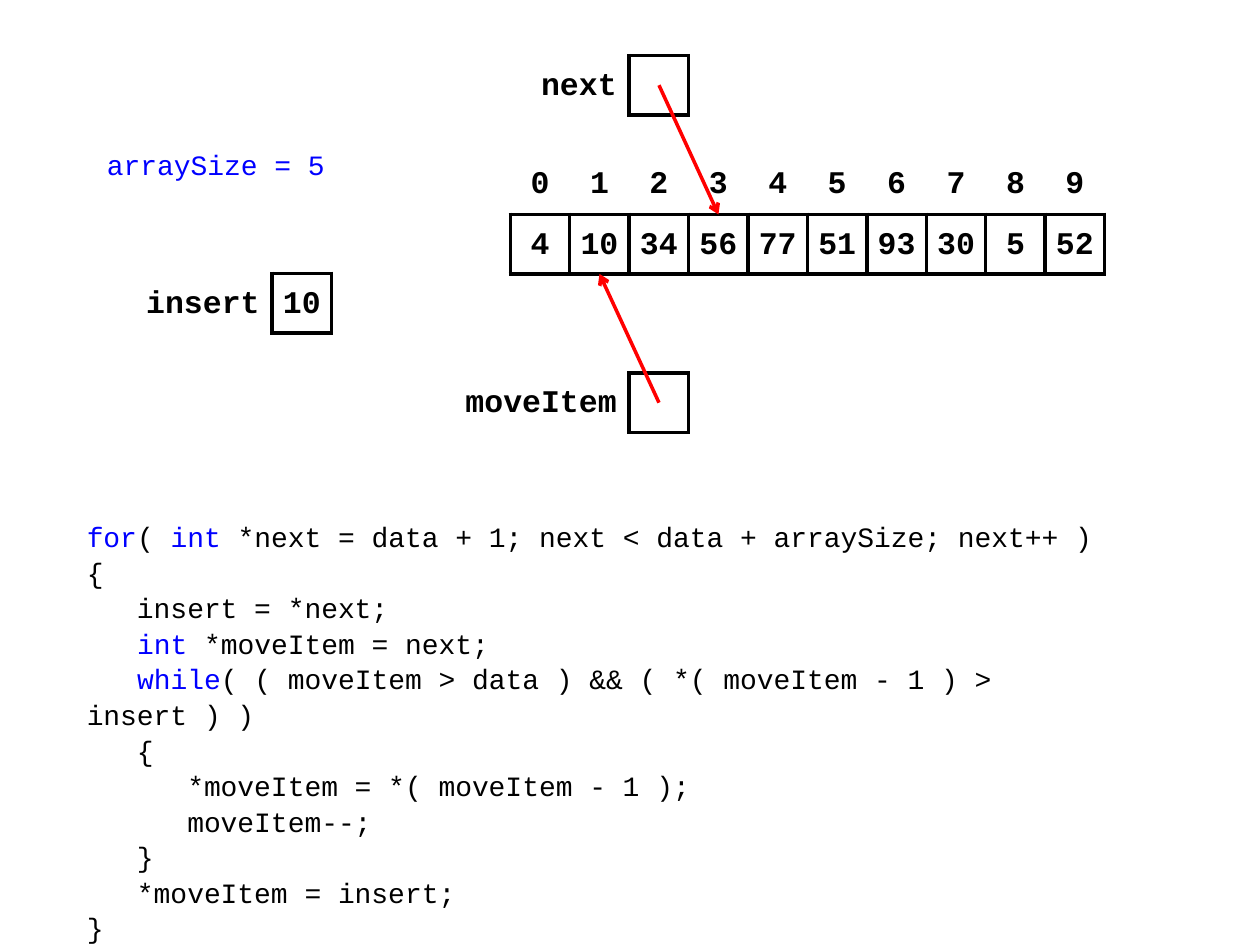
import pptx
import pptx.util
import pptx.dml.color
import pptx.enum.shapes
import pptx.enum.text
import pptx.oxml
import pptx.oxml.ns
from pptx.util import Inches

COLORS = {"text": "000000", "keyword": "0000FF", "arrow": "FF0000", "cell": "FFFFFF"}
FONT = "Courier New"
NO_STYLE = "{2D5ABB26-0587-4C30-8999-92F81FD0307C}"

# Content
ARRAY = [4, 10, 34, 56, 77, 51, 93, 30, 5, 52]
TITLE = [[("arraySize = 5", "keyword")]]
CODE = [
    [("for", "keyword"), ("( ", "text"), ("int", "keyword"),
     (" *next = data + 1; next < data + arraySize; next++ )", "text")],
    [("{", "text")],
    [("   insert = *next;", "text")],
    [("   ", "text"), ("int", "keyword"), (" *moveItem = next;", "text")],
    [("   ", "text"), ("while", "keyword"),
     ("( ( moveItem > data ) && ( *( moveItem - 1 ) > insert ) )", "text")],
    [("   {", "text")],
    [("      *moveItem = *( moveItem - 1 );", "text")],
    [("      moveItem--;", "text")],
    [("   }", "text")],
    [("   *moveItem = insert;", "text")],
    [("}", "text")],
]

# Layout in inches
CELL = 4.72 / len(ARRAY)
ARRAY_LEFT, ARRAY_TOP = 4.05, 1.23
POINTER_LEFT = ARRAY_LEFT + 2 * CELL
# label, value, box left, top, label width
VARIABLES = [
    ("next", "", POINTER_LEFT, 0.44, 2 * CELL),
    ("moveItem", "", POINTER_LEFT, 2.96, 3 * CELL),
    ("insert", "10", 2.16, 2.17, 1.1),
]
# pointer box top, array index, end height
ARROWS = [
    (0.44, 3, ARRAY_TOP + CELL),
    (2.96, 1, ARRAY_TOP + 2 * CELL),
]


def rgb(name):
    return pptx.dml.color.RGBColor.from_string(COLORS[name])


def set_borders(cell, sides):
    properties = cell._tc.get_or_add_tcPr()
    for position, side in enumerate(sides):
        border = pptx.oxml.parse_xml(
            f'<a:ln{side} {pptx.oxml.ns.nsdecls("a")} w="28575"><a:solidFill>'
            f'<a:srgbClr val="{COLORS["text"]}"/></a:solidFill></a:ln{side}>')
        properties.insert(position, border)


def fill_cell(cell, text, alignment="CENTER", sides="LRTB", side_margin=0.08,
              bottom_margin=0.02, filled=False):
    cell.text = text
    cell.vertical_anchor = pptx.enum.text.MSO_ANCHOR.MIDDLE
    cell.margin_left = cell.margin_right = Inches(side_margin)
    cell.margin_top, cell.margin_bottom = Inches(0.05), Inches(bottom_margin)
    paragraph = cell.text_frame.paragraphs[0]
    paragraph.alignment = getattr(pptx.enum.text.PP_ALIGN, alignment)
    font = paragraph.font
    font.name, font.size, font.bold = FONT, pptx.util.Pt(18), True
    font.color.rgb = rgb("text")
    if filled:
        cell.fill.solid()
        cell.fill.fore_color.rgb = rgb("cell")
    else:
        cell.fill.background()
    set_borders(cell, sides)


def add_table(slide, left, top, widths, row_count):
    frame = slide.shapes.add_table(
        row_count, len(widths), Inches(left), Inches(top),
        Inches(sum(widths)), Inches(row_count * CELL))
    table = frame.table
    table.first_row = table.horz_banding = False
    table._tbl.tblPr.find(pptx.oxml.ns.qn("a:tableStyleId")).text = NO_STYLE
    for column, width in zip(table.columns, widths):
        column.width = Inches(width)
    return table


def add_text(slide, box, lines, anchor, line_spacing):
    frame = slide.shapes.add_textbox(*map(Inches, box)).text_frame
    frame.word_wrap = True
    frame.vertical_anchor = anchor
    for index, line in enumerate(lines):
        paragraph = frame.add_paragraph() if index else frame.paragraphs[0]
        paragraph.line_spacing = line_spacing
        paragraph.font.name, paragraph.font.size = FONT, pptx.util.Pt(16)
        for text, color in line:
            run = paragraph.add_run()
            run.text = text
            run.font.color.rgb = rgb(color)


def add_arrow(slide, start, end):
    connector = slide.shapes.add_connector(
        pptx.enum.shapes.MSO_CONNECTOR.STRAIGHT, *map(Inches, start + end))
    connector.line.color.rgb = rgb("arrow")
    connector.line.width = pptx.util.Pt(2)
    namespace = pptx.oxml.ns.nsdecls("a")
    connector.line._get_or_add_ln().append(
        pptx.oxml.parse_xml(f'<a:tailEnd {namespace} type="arrow"/>'))
    connector._element.spPr.append(pptx.oxml.parse_xml(f"<a:effectLst {namespace}/>"))


def main():
    presentation = pptx.Presentation()
    presentation.slide_width, presentation.slide_height = Inches(10), Inches(7.5)
    slide = presentation.slides.add_slide(presentation.slide_layouts[6])

    # Labelled variable boxes
    for label, value, left, top, label_width in VARIABLES:
        table = add_table(slide, left - label_width, top, [label_width, CELL], 1)
        fill_cell(table.cell(0, 0), label, "RIGHT", sides="R", side_margin=0.1)
        fill_cell(table.cell(0, 1), value)

    # Title and code
    anchors = pptx.enum.text.MSO_ANCHOR
    add_text(slide, (0.75, 1.07, 2.52, 0.47), TITLE, anchors.MIDDLE, 1.0)
    add_text(slide, (0.59, 4.06, 8.82, 2.99), CODE, anchors.TOP, 1.06)

    # Array with its indices
    table = add_table(slide, ARRAY_LEFT, ARRAY_TOP, [CELL] * len(ARRAY), 2)
    for index, value in enumerate(ARRAY):
        fill_cell(table.cell(0, index), str(index), sides="B", bottom_margin=0.05)
        fill_cell(table.cell(1, index), str(value), filled=True)

    # Pointer arrows from box centres to array cells
    for top, index, end_y in ARROWS:
        add_arrow(slide, (POINTER_LEFT + CELL / 2, top + CELL / 2),
                  (ARRAY_LEFT + (index + 0.5) * CELL, end_y))

    presentation.save("out.pptx")


if __name__ == "__main__":
    main()
